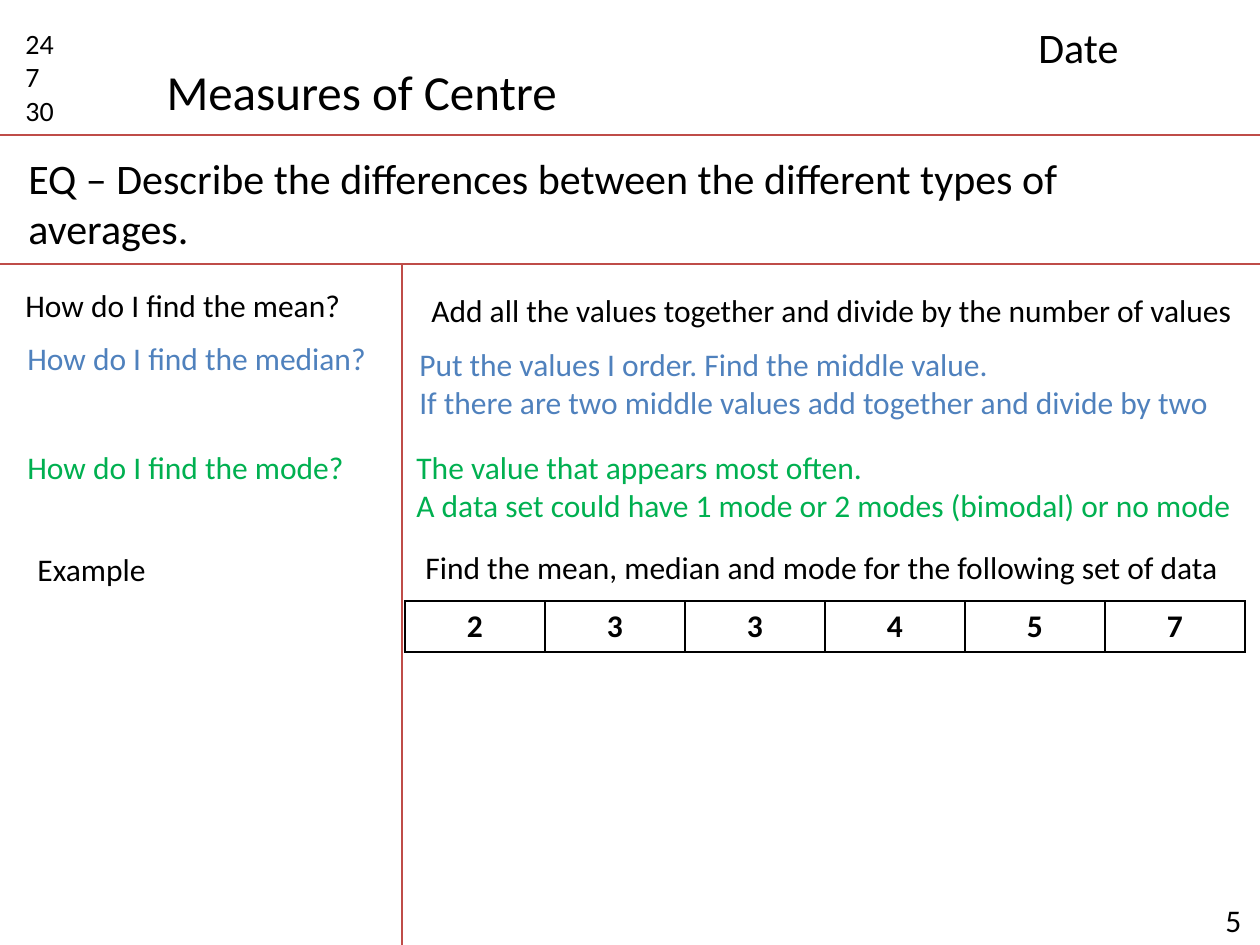
from lxml.etree import SubElement
from pptx import Presentation
from pptx.dml.color import RGBColor
from pptx.enum.shapes import MSO_CONNECTOR
from pptx.enum.text import MSO_ANCHOR, MSO_AUTO_SIZE, PP_ALIGN
from pptx.oxml.ns import qn
from pptx.util import Emu, Pt

PX = 914400 // 126
COLORS = {"ink": "000000", "rule": "BF4C48", "median": "4F81BD", "mode": "00B050"}


def px(*lengths):
    return [Emu(length * PX) for length in lengths]


def write(frame, text, size=18, color="ink", bold=False, align=PP_ALIGN.LEFT):
    """Fill a text frame with one paragraph per line of text."""
    frame.text = text
    for paragraph in frame.paragraphs:
        paragraph.alignment = align
        font = paragraph.font
        font.name, font.size, font.bold = "Calibri", Pt(size), bold
        font.color.rgb = RGBColor.from_string(COLORS[color])


class NotesPage:
    """Holds the current slide and its line style."""

    def __init__(self, slide, rule_width=0.75, border_width=1):
        self.slide = slide
        self.rule_width = rule_width
        self.border_width = border_width

    def title(self, text, box, **style):
        title = self.slide.shapes.title
        title.left, title.top, title.width, title.height = px(*box)
        self.fit(title.text_frame, text, wrap=False, **style)

    def text(self, text, box, wrap=False, **style):
        textbox = self.slide.shapes.add_textbox(*px(*box))
        self.fit(textbox.text_frame, text, wrap, **style)

    def fit(self, frame, text, wrap, **style):
        write(frame, text, **style)
        frame.word_wrap = wrap
        frame.auto_size = MSO_AUTO_SIZE.SHAPE_TO_FIT_TEXT
        frame.vertical_anchor = MSO_ANCHOR.TOP

    def rule(self, *ends):
        rule = self.slide.shapes.add_connector(MSO_CONNECTOR.STRAIGHT, *px(*ends))
        rule.line.color.rgb = RGBColor.from_string(COLORS["rule"])
        rule.line.width = Pt(self.rule_width)
        SubElement(rule._element.spPr, qn("a:effectLst"))

    def data_row(self, values, box):
        table = self.slide.shapes.add_table(1, len(values), *px(*box)).table
        table.horz_banding = False
        for cell, value in zip(table.iter_cells(), values):
            write(cell.text_frame, str(value), bold=True, align=PP_ALIGN.CENTER)
            self.border(cell)
            cell.fill.background()

    def border(self, cell):
        properties = cell._tc.get_or_add_tcPr()
        for side in ("lnL", "lnR", "lnT", "lnB"):
            edge = SubElement(properties, qn(f"a:{side}"), w=str(Pt(self.border_width)))
            fill = SubElement(edge, qn("a:solidFill"))
            SubElement(fill, qn("a:srgbClr"), val=COLORS["ink"])


def main():
    presentation = Presentation()
    presentation.slide_width, presentation.slide_height = px(1260, 945)
    layout = presentation.slide_layouts.get_by_name("Title Only")
    page = NotesPage(presentation.slides.add_slide(layout))

    page.title("Measures of Centre", (154, 55, 420, 72), size=28)
    page.text("24\n7\n30", (13, 20, 79, 115), wrap=True, size=16)
    page.text("Date", (1026, 15, 218, 63), wrap=True, size=24)
    page.text("EQ – Describe the differences between the different types of averages.",
              (16, 146, 1188, 115), wrap=True, size=24)

    for y in (135, 264):
        page.rule(0, y, 1260, y)
    page.rule(402, 264, 402, 945)

    questions = [
        ("How do I find the mean?", (13, 280, 345, 50), "ink"),
        ("How do I find the median?", (15, 333, 369, 50), "median"),
        ("How do I find the mode?", (15, 442, 347, 50), "mode"),
        ("Example", (25, 544, 135, 50), "ink"),
    ]
    answers = [
        ("Add all the values together and divide by the number of values",
         (419, 285, 837, 50), "ink"),
        ("Put the values I order. Find the middle value.\n"
         "If there are two middle values add together and divide by two",
         (407, 339, 832, 89), "median"),
        ("The value that appears most often.\n"
         "A data set could have 1 mode or 2 modes (bimodal) or no mode",
         (404, 442, 851, 89), "mode"),
        ("Find the mean, median and mode for the following set of data",
         (413, 542, 828, 50), "ink"),
    ]
    for text, box, color in questions + answers:
        page.text(text, box, color=color)

    page.data_row([2, 3, 3, 4, 5, 7], (405, 601, 840, 51))
    page.text("5", (1213, 895, 47, 50), wrap=True)

    presentation.save("out.pptx")


if __name__ == "__main__":
    main()
